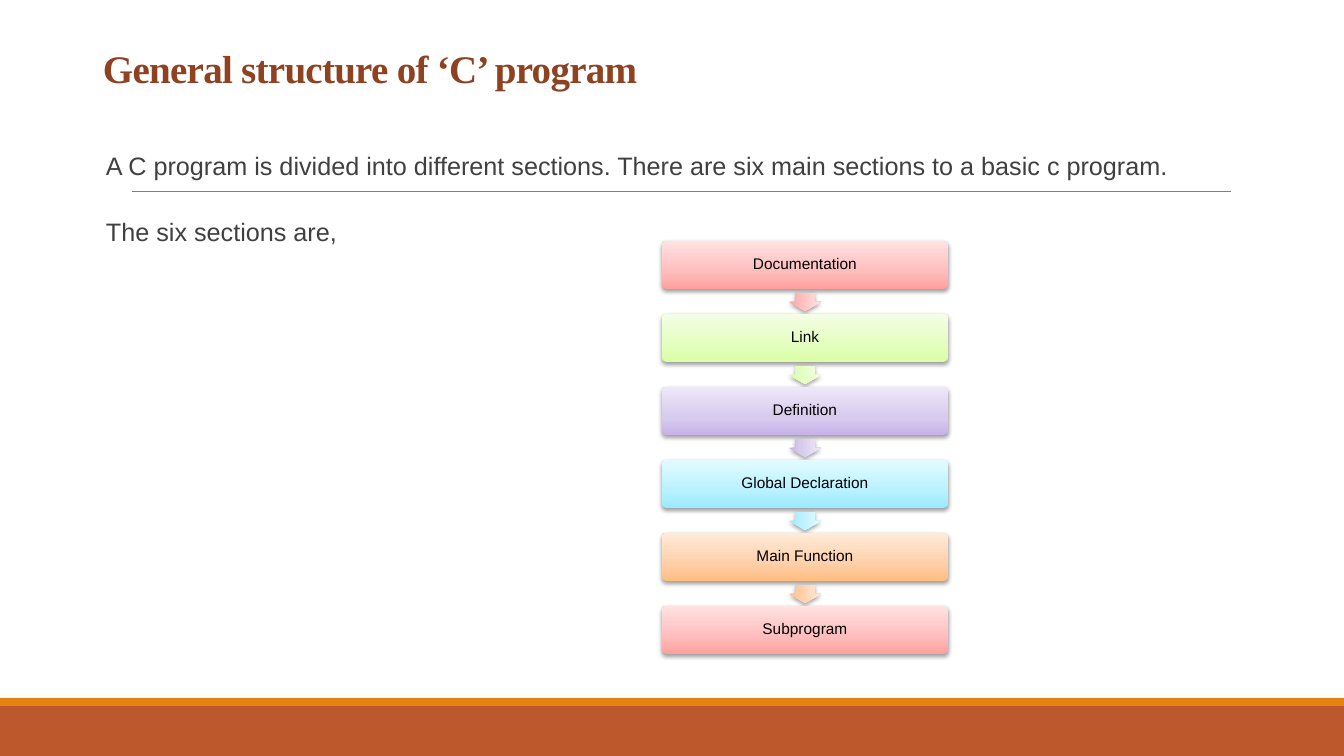
from copy import deepcopy
from dataclasses import dataclass

from lxml import etree
from pptx import Presentation
from pptx import util as u
from pptx.dml.color import RGBColor
from pptx.enum import shapes, text
from pptx.oxml import ns

PX = 12192000 / 1344
HUES = {
    "bar": "BD582C", "strip": "E48312", "rule": "808080",
    "title": "8E4221", "body": "404040", "label": "000000", "shade": "000000",
}
# Dark, middle and light stop of each gradient
TINTS = {
    "red": ("FFA09D", "FFBCBC", "FFE2E2"),
    "green": ("DAFEA4", "E3FEBF", "F4FEE6"),
    "violet": ("C8B2E9", "D6CAED", "EFE8FA"),
    "cyan": ("99EAFF", "B8F1FF", "E2FBFF"),
    "orange": ("FFBD80", "FFCFA8", "FFEBD9"),
}
STOPS = (0, 0.35, 1)


@dataclass
class Step:
    name: str
    tint: str


@dataclass
class Band:
    top: int
    high: int
    hue: str


STEPS = [
    Step("Documentation", "red"),
    Step("Link", "green"),
    Step("Definition", "violet"),
    Step("Global Declaration", "cyan"),
    Step("Main Function", "orange"),
    Step("Subprogram", "red"),
]
BANDS = [Band(706, 50, "bar"), Band(698, 8, "strip")]
LEFT, TOP, WIDE, HIGH, PITCH = 662, 241, 286, 48, 73
HEAD_W, HEAD_H = 18, 32


def px(n: float) -> int:
    return round(n * PX)


def rgb(hue: str) -> RGBColor:
    return RGBColor.from_string(hue)


def write(shape, *lines: str, size: float, hue: str, font: str = "Arial",
          bold: bool = False, track: int = 0, pad: tuple = (5, 5, 5, 5),
          anchor=text.MSO_ANCHOR.TOP, align=text.PP_ALIGN.LEFT,
          lead: float = 1, before: int = 0, after: int = 0) -> None:
    """Fill a shape with one paragraph per line; pad is left, top, right, bottom."""
    frame = shape.text_frame
    frame.word_wrap = True
    frame.vertical_anchor = anchor
    frame.margin_left, frame.margin_top, frame.margin_right, frame.margin_bottom = map(px, pad)
    for i, line in enumerate(lines):
        par = frame.add_paragraph() if i else frame.paragraphs[0]
        par.alignment = align
        par.line_spacing = lead
        par.space_before, par.space_after = u.Pt(before), u.Pt(after)
        run = par.add_run()
        run.text = line
        run.font.name, run.font.size, run.font.bold = font, u.Pt(size), bold
        run.font.color.rgb = rgb(HUES[hue])
        if track:
            run.font._element.set("spc", str(track))


def add_box(slide, x: int, y: int, w: int, h: int):
    return slide.shapes.add_textbox(px(x), px(y), px(w), px(h))


def add_form(slide, kind, x: int, y: int, w: int, h: int):
    """Add a preset shape without outline or shadow."""
    form = slide.shapes.add_shape(kind, px(x), px(y), px(w), px(h))
    form.line.fill.background()
    form.shadow.inherit = False
    return form


def add_band(slide, band: Band) -> None:
    form = add_form(slide, shapes.MSO_SHAPE.RECTANGLE, 0, band.top, 1344, band.high)
    form.fill.solid()
    form.fill.fore_color.rgb = rgb(HUES[band.hue])


def add_rule(slide, x: int, y: int, end: int) -> None:
    rule = slide.shapes.add_connector(
        shapes.MSO_CONNECTOR.STRAIGHT, px(x), px(y), px(end), px(y))
    rule.line.color.rgb = rgb(HUES["rule"])
    rule.line.width = u.Pt(0.5)
    etree.SubElement(rule.element.spPr, ns.qn("a:effectLst"))


def tint(form, name: str) -> None:
    """Give a shape its rising gradient and soft shadow."""
    form.fill.gradient()
    form.fill.gradient_angle = 90
    props = form.element.spPr
    stops = props.find(".//" + ns.qn("a:gsLst"))
    stops.insert(1, deepcopy(stops[0]))
    for stop, place, hue in zip(form.fill.gradient_stops, STOPS, TINTS[name]):
        stop.position = place
        stop.color.rgb = rgb(hue)
    shade = etree.SubElement(
        props.find(ns.qn("a:effectLst")), ns.qn("a:outerShdw"),
        blurRad=str(u.Pt(3.1)), dist=str(u.Pt(1.6)), dir="5400000", rotWithShape="0")
    hue = etree.SubElement(shade, ns.qn("a:srgbClr"), val=HUES["shade"])
    etree.SubElement(hue, ns.qn("a:alpha"), val="38000")


def add_step(slide, step: Step, y: int) -> None:
    form = add_form(slide, shapes.MSO_SHAPE.ROUNDED_RECTANGLE, LEFT, y, WIDE, HIGH)
    form.adjustments[0] = 0.1
    tint(form, step.tint)
    write(form, step.name, size=11, hue="label", lead=0.89, after=10,
          anchor=text.MSO_ANCHOR.MIDDLE, align=text.PP_ALIGN.CENTER)


def add_arrow(slide, step: Step, y: int) -> None:
    """Point down from the step at y to the next one."""
    mid = y + (HIGH + PITCH) // 2
    form = add_form(slide, shapes.MSO_SHAPE.RIGHT_ARROW, LEFT + (WIDE - HEAD_W) // 2,
                    mid - HEAD_H // 2 + 1, HEAD_W, HEAD_H)
    form.rotation = 90
    form.adjustments[0], form.adjustments[1] = 0.6, 0.5
    tint(form, step.tint)


def main() -> None:
    deck = Presentation()
    deck.slide_width, deck.slide_height = px(1344), px(756)
    slide = deck.slides.add_slide(deck.slide_layouts[6])
    for band in BANDS:
        add_band(slide, band)
    add_rule(slide, 132, 191, 1231)
    write(add_box(slide, 93, 7, 1159, 90), "General structure of ‘C’ program",
          size=27.9, hue="title", font="Times New Roman", bold=True, track=-50,
          pad=(10, 5, 10, 5), anchor=text.MSO_ANCHOR.BOTTOM, lead=0.85)
    write(add_box(slide, 81, 141, 1171, 492),
          "A C program is divided into different sections. "
          "There are six main sections to a basic c program.",
          "The six sections are,",
          size=18, hue="body", pad=(25, 5, 0, 5), lead=1.15, before=12, after=10)
    for i, step in enumerate(STEPS):
        y = TOP + i * PITCH
        add_step(slide, step, y)
        if i < len(STEPS) - 1:
            add_arrow(slide, step, y)
    deck.save("out.pptx")


if __name__ == "__main__":
    main()
